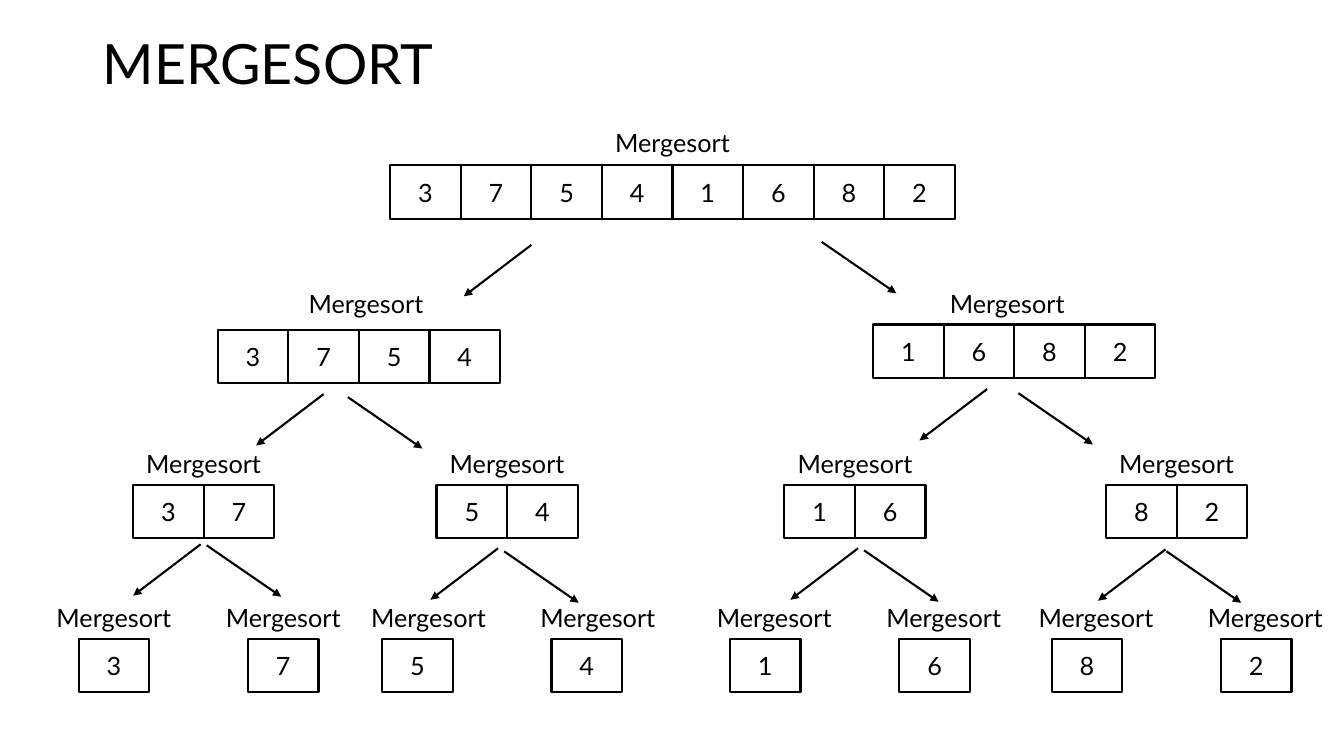
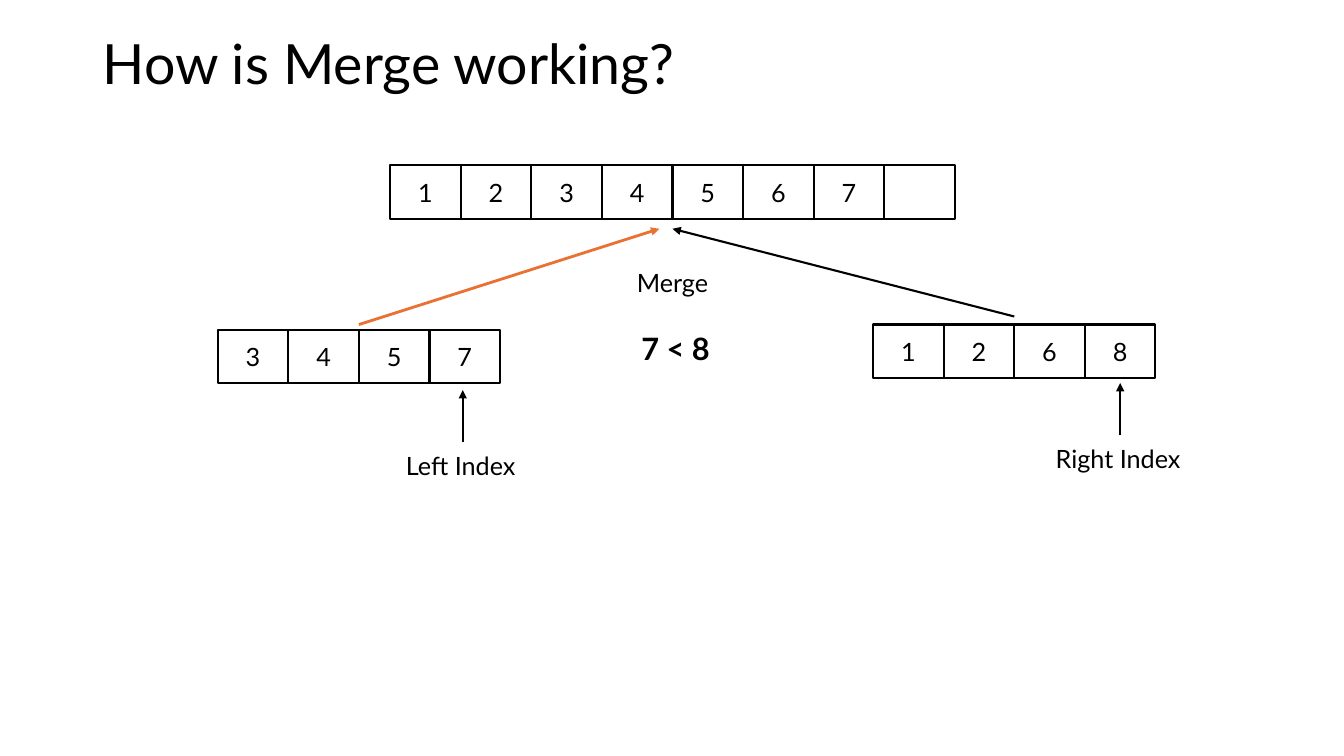
"""Build two slides that show how mergesort splits and merges."""
from pptx import Presentation
from pptx.dml.color import RGBColor as Rgb
from pptx.enum.shapes import MSO_CONNECTOR as Conn, MSO_SHAPE as Kind
from pptx.enum.text import MSO_ANCHOR as Anchor, MSO_AUTO_SIZE as Auto, PP_ALIGN as Align
from pptx.oxml.ns import qn
from pptx.util import Inches, Pt
from lxml.etree import SubElement as sub

BLACK = Rgb(0x00, 0x00, 0x00)
WHITE = Rgb(0xFF, 0xFF, 0xFF)
ORANGE = Rgb(0xE9, 0x71, 0x32)
FONT = "Lato"
CELL_W, CELL_H = 0.7, 0.53
NAME = "Mergesort"
TOP = (3.87, 1.64)
LEFT = (2.16, 3.27)
RIGHT = (8.66, 3.22)
PAIR_Y, LEAF_Y = 4.81, 6.34
LEAF_DX = (-0.54, 1.14)
TAG_GAP = 0.41


def write(frame, text, size=18, bold=False, align=Align.CENTER, anchor=Anchor.TOP, space=None):
    frame.word_wrap = True
    frame.vertical_anchor = anchor
    para = frame.paragraphs[0]
    para.alignment = align
    para.line_spacing = space
    run = para.add_run()
    run.text = text
    font = run.font
    font.name, font.size, font.bold = FONT, Pt(size), bold
    font.color.rgb = BLACK


def label(slide, mid, top, text, width=2.66, height=0.41, **style):
    box = slide.shapes.add_textbox(
        Inches(mid - width / 2), Inches(top), Inches(width), Inches(height))
    write(box.text_frame, text, **style)
    box.text_frame.auto_size = Auto.SHAPE_TO_FIT_TEXT


def title(slide, text):
    box = slide.shapes.add_textbox(Inches(0.92), Inches(0.4), Inches(11.5), Inches(0.53))
    write(box.text_frame, text, size=39.6, align=Align.LEFT, anchor=Anchor.MIDDLE, space=0.9)


def cells(slide, left, top, values):
    for i, value in enumerate(values):
        cell = slide.shapes.add_shape(
            Kind.RECTANGLE, Inches(left + i * CELL_W), Inches(top),
            Inches(CELL_W), Inches(CELL_H))
        cell.shadow.inherit = False
        cell.fill.solid()
        cell.fill.fore_color.rgb = WHITE
        cell.line.color.rgb = BLACK
        cell.line.width = Pt(1.5)
        if value:
            write(cell.text_frame, value, anchor=Anchor.MIDDLE)


def arrow(slide, start, end, color=BLACK, width=1.5):
    line = slide.shapes.add_connector(Conn.STRAIGHT, *map(Inches, start + end))
    line.line.color.rgb = color
    line.line.width = Pt(width)
    sub(line.line._get_or_add_ln(), qn("a:tailEnd"), type="triangle")
    sub(line._element.spPr, qn("a:effectLst"))


def fork(slide, left, right):
    for (x, y), dx in ((left, -0.67), (right, 0.74)):
        arrow(slide, (x, y), (x + dx, y + 0.51))


def split(slide):
    title(slide, "MERGESORT")
    tops = (
        (TOP, "37541682", 6.67, 1.21, (5.27, 2.43), (8.15, 2.4)),
        (LEFT, "3754", 3.63, 2.81, (3.21, 3.91), (3.45, 3.94)),
        (RIGHT, "1682", 9.99, 2.81, (9.79, 3.86), (10.1, 3.9)),
    )
    for spot, values, mid, tag_y, *starts in tops:
        label(slide, mid, tag_y, NAME)
        cells(slide, *spot, values)
        fork(slide, *starts)
    pairs = (
        (1.32, "37", 0, (1.99, 5.4), (2.05, 5.41)),
        (4.33, "54", 0.11, (4.94, 5.44), (5, 5.47)),
        (7.78, "16", 0.09, (8.51, 5.44), (8.57, 5.46)),
        (10.97, "82", 0.09, (11.56, 5.45), (11.57, 5.47)),
    )
    for x, values, shift, *starts in pairs:
        label(slide, x + CELL_W, PAIR_Y - TAG_GAP, NAME)
        cells(slide, x, PAIR_Y, values)
        for dx, value in zip(LEAF_DX, values):
            label(slide, x + dx + CELL_W / 2 + shift, LEAF_Y - TAG_GAP, NAME)
            cells(slide, x + dx, LEAF_Y, value)
        fork(slide, *starts)


def merge(slide):
    title(slide, "How is Merge working?")
    cells(slide, *TOP, [*"1234567", ""])
    cells(slide, *LEFT, "3457")
    cells(slide, *RIGHT, "1268")
    arrow(slide, (3.56, 3.22), (6.54, 2.27), color=ORANGE, width=2)
    arrow(slide, (10.06, 3.14), (6.67, 2.27))
    label(slide, 6.67, 2.6, "Merge")
    label(slide, 6.7, 3.22, "7 < 8", width=1.55, height=0.47, size=22, bold=True)
    for x, y, mid, text in ((4.59, 3.87, 4.57, "Left Index"), (11.11, 3.8, 11.09, "Right Index")):
        arrow(slide, (x, y + 0.52), (x, y))
        label(slide, mid, y + 0.55, text, width=1.44, height=0.4)


def main():
    deck = Presentation()
    deck.slide_width, deck.slide_height = Inches(13.33), Inches(7.5)
    for draw in (split, merge):
        draw(deck.slides.add_slide(deck.slide_layouts[6]))
    deck.save("out.pptx")


if __name__ == "__main__":
    main()
